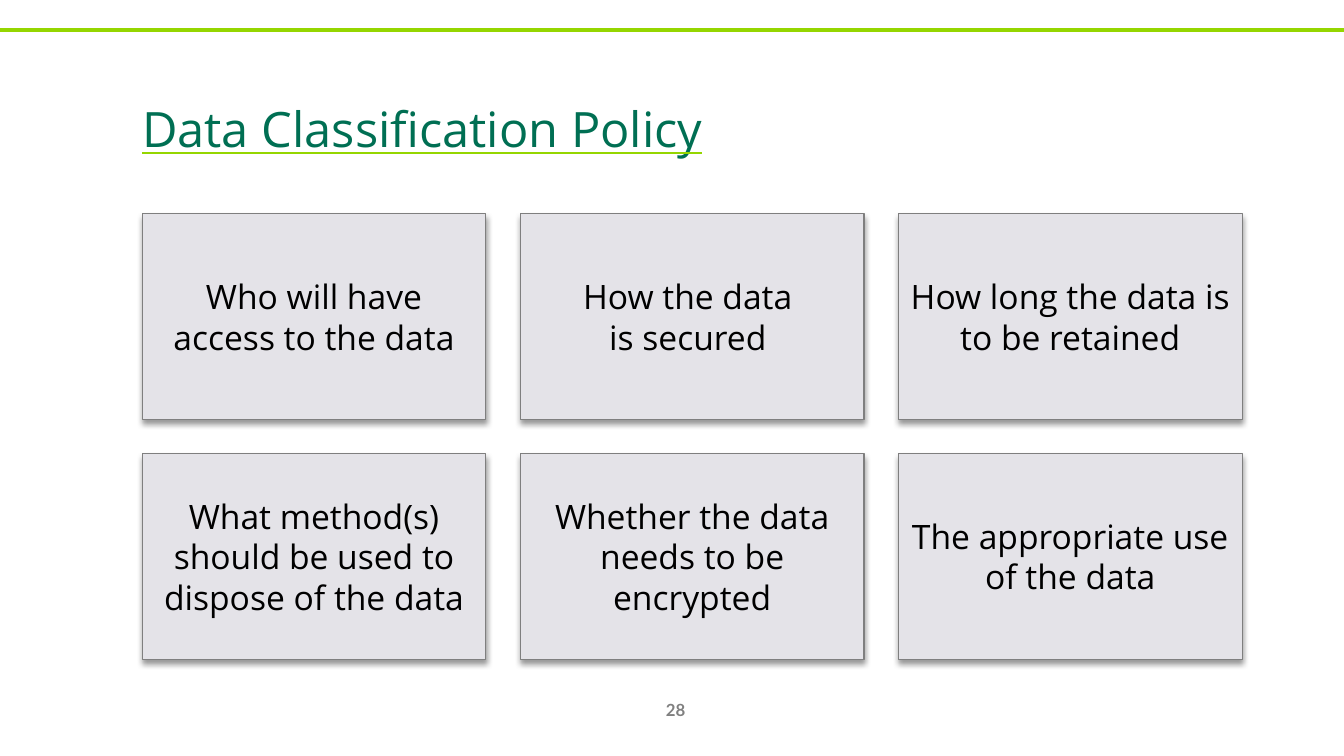
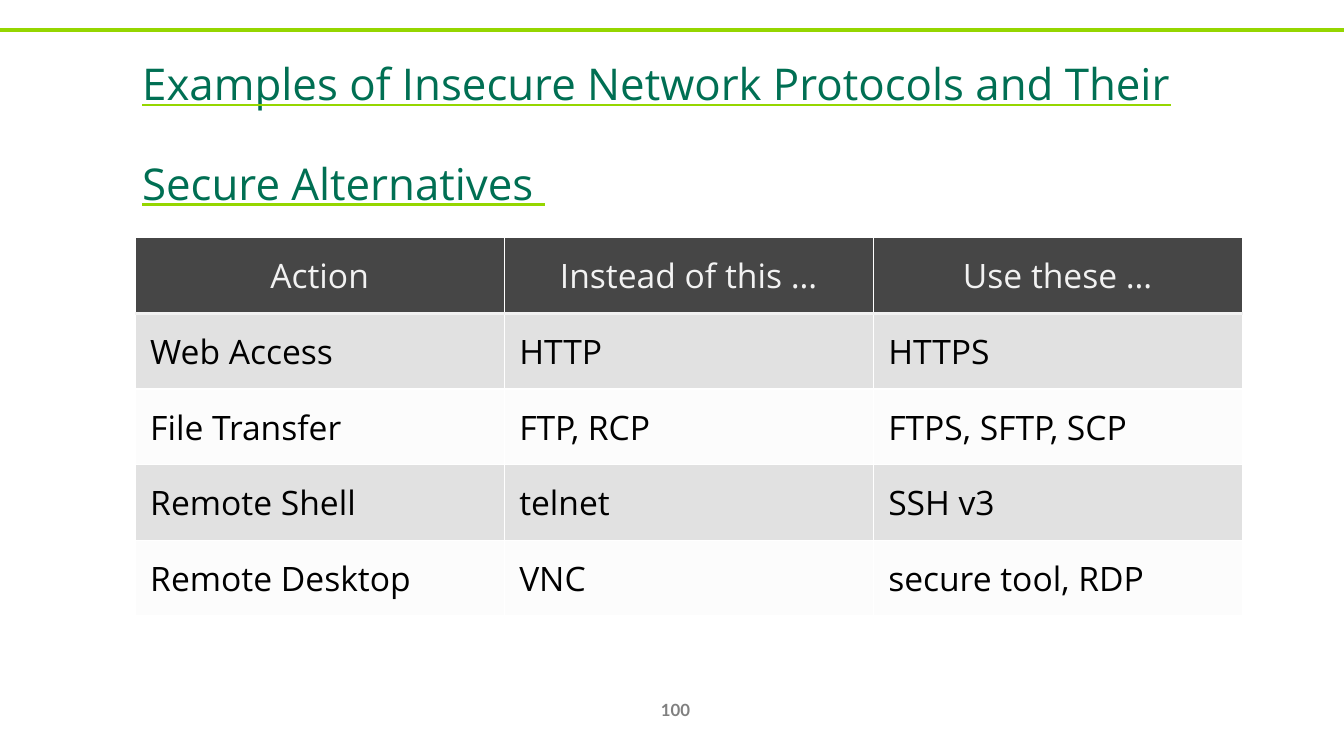
from lxml.etree import SubElement
from pptx import Presentation
from pptx.dml.color import RGBColor
from pptx.enum.shapes import MSO_CONNECTOR, MSO_SHAPE
from pptx.enum.text import MSO_ANCHOR, MSO_AUTO_SIZE, PP_ALIGN
from pptx.oxml.ns import qn
from pptx.util import Inches, Pt

COLORS = {
    "lime": "95D600",
    "green": "006F53",
    "card": "E4E3E8",
    "card_line": "7F7F7F",
    "number": "808080",
    "black": "000000",
    "white": "FFFFFF",
    "header": "464646",
    "header_text": "F2F2F2",
    "odd_row": "E1E1E1",
    "even_row": "FCFCFC",
}
TEXT_FONT = "Open Sans"
NUMBER_FONT = "Lato"

QUESTIONS = [
    "Who will have access to the data",
    "How the data \vis secured ",
    "How long the data is to be retained",
    "What method(s) should be used to dispose of the data",
    "Whether the data needs to be encrypted",
    "The appropriate use of the data",
]
PROTOCOLS = [
    ["Action", "Instead of this …", "Use these …"],
    ["Web Access", "HTTP", "HTTPS"],
    ["File Transfer", "FTP, RCP", "FTPS, SFTP, SCP"],
    ["Remote Shell", "telnet", "SSH v3"],
    ["Remote Desktop", "VNC", "secure tool, RDP"],
]


def color(name):
    """Return the named colour."""
    return RGBColor.from_string(COLORS[name])


def add_solid_fill(parent, name):
    """Append a solid fill element and return its colour element."""
    fill = SubElement(parent, qn("a:solidFill"))
    return SubElement(fill, qn("a:srgbClr"), val=COLORS[name])


def style_paragraph(paragraph, size, color_name, alignment, name=TEXT_FONT, bold=False):
    """Format one paragraph."""
    paragraph.alignment = alignment
    font = paragraph.font
    font.name, font.size, font.bold = name, Pt(size), bold
    font.color.rgb = color(color_name)


def set_margins(target, margin):
    """Give a text frame or cell equal margins."""
    for side in ("left", "right", "top", "bottom"):
        setattr(target, f"margin_{side}", Inches(margin))


def add_top_rule(slide):
    """Draw the lime rule across the top."""
    rule = slide.shapes.add_connector(
        MSO_CONNECTOR.STRAIGHT, 0, Inches(0.3), Inches(13.33), Inches(0.3))
    rule.line.color.rgb = color("lime")
    rule.line.width = Pt(3)
    SubElement(rule._element.spPr, qn("a:effectLst"))


def add_page_number(slide, number):
    """Write the page number at the bottom."""
    box = slide.shapes.add_textbox(Inches(6.39), Inches(6.84), Inches(0.62), Inches(0.4))
    frame = box.text_frame
    frame.word_wrap = True
    frame.vertical_anchor = MSO_ANCHOR.MIDDLE
    frame.text = str(number)
    style_paragraph(frame.paragraphs[0], 12, "number", PP_ALIGN.CENTER, NUMBER_FONT, True)


def set_title(slide, text, size, width):
    """Fill the title with raised green text and a lime underline."""
    title = slide.shapes.title
    title.left, title.top = Inches(1.31), Inches(0.61)
    title.width, title.height = Inches(width), Inches(1.25)
    frame = title.text_frame
    frame.word_wrap = True
    frame.auto_size = MSO_AUTO_SIZE.NONE
    frame.vertical_anchor = MSO_ANCHOR.MIDDLE
    paragraph = frame.paragraphs[0]
    paragraph.alignment = PP_ALIGN.LEFT
    run = paragraph.add_run()
    run.text = text
    run.font.size = Pt(size)
    run.font.underline = True
    run.font.color.rgb = color("green")
    properties = run._r.get_or_add_rPr()
    properties.set("baseline", "12000")
    add_solid_fill(SubElement(properties, qn("a:uFill")), "lime")
    run.font.name = TEXT_FONT
    return frame


def add_slide(presentation, title, size, width, number):
    """Add a slide with the shared rule, number and title."""
    slide = presentation.slides.add_slide(presentation.slide_layouts[5])
    add_top_rule(slide)
    add_page_number(slide, number)
    return slide, set_title(slide, title, size, width)


def add_shadow(shape):
    """Give a shape a soft shadow below it."""
    shape.shadow.inherit = False
    effects = shape._element.spPr.find(qn("a:effectLst"))
    shadow = SubElement(
        effects, qn("a:outerShdw"), blurRad=str(Pt(4)), dist=str(Pt(3)),
        dir="5400000", algn="t", rotWithShape="0")
    shade = SubElement(shadow, qn("a:srgbClr"), val=COLORS["black"])
    SubElement(shade, qn("a:alpha"), val="40000")


def add_card(slide, text, left, top):
    """Add one grey card with centred text."""
    card = slide.shapes.add_shape(
        MSO_SHAPE.RECTANGLE, Inches(left), Inches(top), Inches(3.41), Inches(2.04))
    card.fill.solid()
    card.fill.fore_color.rgb = color("card")
    card.line.color.rgb = color("card_line")
    card.line.width = Pt(0.75)
    add_shadow(card)
    frame = card.text_frame
    frame.word_wrap = True
    frame.vertical_anchor = MSO_ANCHOR.MIDDLE
    set_margins(frame, 0.1)
    frame.text = text
    style_paragraph(frame.paragraphs[0], 24, "black", PP_ALIGN.CENTER)


def add_card_grid(slide, texts, columns=3):
    """Lay the cards out in rows."""
    for index, text in enumerate(texts):
        row, column = divmod(index, columns)
        add_card(slide, text, 1.41 + 3.75 * column, 2.12 + 2.38 * row)


def add_border(cell, side, color_name, width):
    """Append one border line to a cell."""
    properties = cell._tc.get_or_add_tcPr()
    add_solid_fill(SubElement(properties, qn(f"a:ln{side}"), w=str(Pt(width))), color_name)


def format_cell(cell, row):
    """Format a cell according to its row."""
    header = row == 0
    heavy_side = {0: "B", 1: "T"}.get(row)
    for side in "LRTB":
        if side == heavy_side:
            add_border(cell, side, "header_text", 2.25)
        else:
            add_border(cell, side, "white", 1)
    cell.fill.solid()
    cell.fill.fore_color.rgb = color(
        "header" if header else "odd_row" if row % 2 else "even_row")
    set_margins(cell, 0.15)
    paragraph = cell.text_frame.paragraphs[0]
    if header:
        cell.vertical_anchor = MSO_ANCHOR.MIDDLE
        style_paragraph(paragraph, 24, "header_text", PP_ALIGN.CENTER)
    else:
        paragraph.space_after = Pt(2)
        style_paragraph(paragraph, 24, "black", PP_ALIGN.LEFT)


def add_protocol_table(slide, rows):
    """Add the table of protocols."""
    frame = slide.shapes.add_table(
        len(rows), len(rows[0]), Inches(1.34), Inches(2.36),
        Inches(10.98), Inches(0.75 * len(rows)))
    table = frame.table
    table.first_row = table.horz_banding = False
    for row, texts in enumerate(rows):
        for column, text in enumerate(texts):
            cell = table.cell(row, column)
            cell.text = text
            format_cell(cell, row)


def main():
    """Build and save the presentation."""
    presentation = Presentation()
    presentation.slide_width = Inches(13.33)
    presentation.slide_height = Inches(7.5)

    slide, _ = add_slide(presentation, "Data Classification Policy", 60, 9.48, 28)
    add_card_grid(slide, QUESTIONS)

    slide, title_frame = add_slide(
        presentation,
        "Examples of Insecure Network Protocols and Their Secure Alternatives ",
        54, 11.83, 100)
    title_frame.margin_right = Inches(0.3)
    title_frame.paragraphs[0].line_spacing = 1.1
    add_protocol_table(slide, PROTOCOLS)

    presentation.save("out.pptx")


if __name__ == "__main__":
    main()
